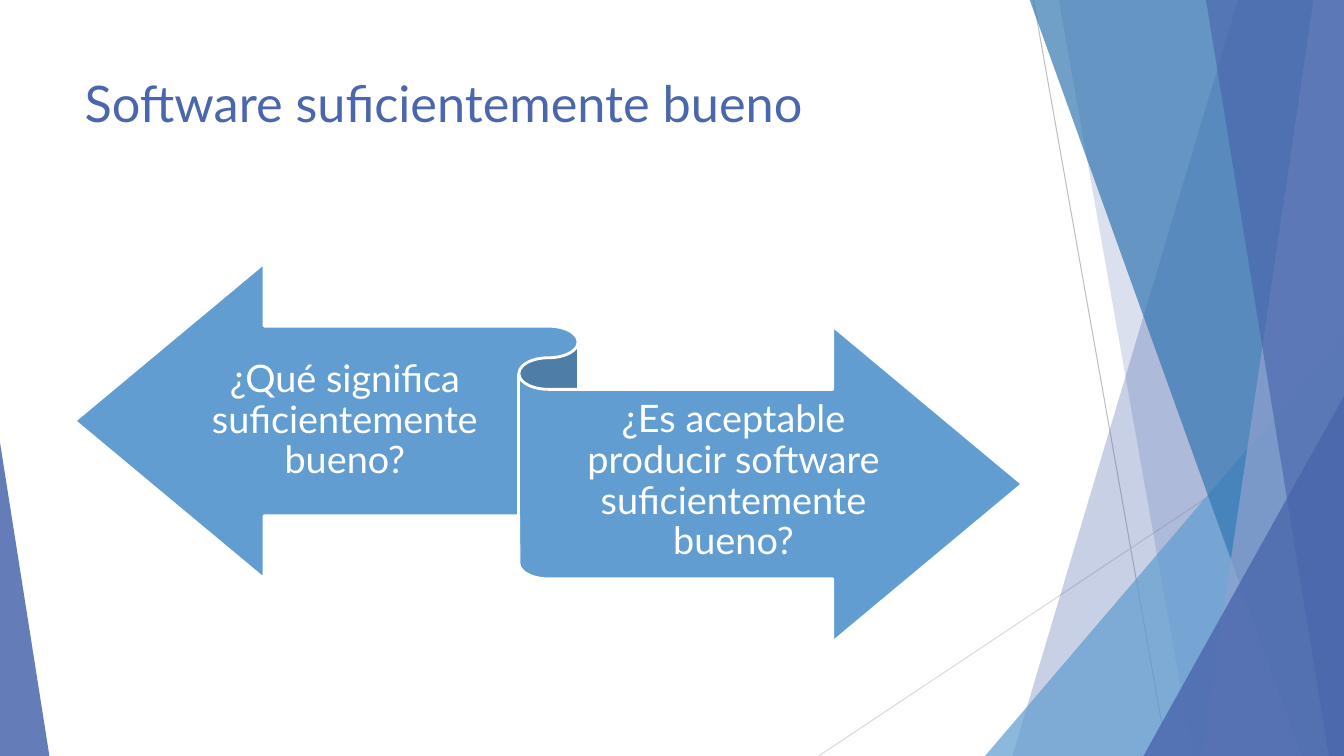
"""Build a slide that asks what good enough software means."""
from dataclasses import dataclass

from lxml.etree import SubElement
from pptx import Presentation
from pptx.dml.color import RGBColor
from pptx.enum.shapes import MSO_CONNECTOR, MSO_SHAPE
from pptx.enum.text import MSO_ANCHOR as Anchor, MSO_AUTO_SIZE as AutoSize, PP_ALIGN as Align
from pptx.oxml.ns import qn
from pptx.shapes.autoshape import Shape
from pptx.slide import Slide
from pptx.text.text import TextFrame
from pptx.util import Inches, Pt

WIDTH, HEIGHT = 13.33, 7.5
FONT = "Lato"
COLORS = {
    "indigo": "4A66AC",
    "sky": "629DD1",
    "ocean": "3477B2",
    "lavender": "90A2CF",
    "gray": "BFBFBF",
    "silver": "D9D9D9",
    "white": "FFFFFF",
}


@dataclass(frozen=True)
class Ray:
    start: tuple[float, float]
    end: tuple[float, float]
    color: str


@dataclass(frozen=True)
class Band:
    """Area from a slanted left edge to the right side of the page."""
    top_x: float
    bottom_x: float
    color: str
    opacity: int


@dataclass(frozen=True)
class Corner:
    """Right triangle standing on the bottom of the page."""
    left: float
    top: float
    width: float
    apex: float
    color: str
    opacity: int


@dataclass(frozen=True)
class Question:
    left: float
    top: float
    width: float
    text: str


RAYS = (
    Ray((10.25, 0), (11.58, HEIGHT), "gray"),
    Ray((WIDTH, 4.03), (8.12, HEIGHT), "silver"),
)
FACETS = (
    Band(12.28, 10.04, "indigo", 30),
    Band(10.5, 11.83, "indigo", 20),
    Corner(9.77, 3.33, 3.56, 1, "sky", 72),
    Band(10.21, 12.91, "ocean", 70),
    Band(13.03, 11.92, "lavender", 70),
    Band(11.96, 13.18, "indigo", 65),
    Corner(11.34, 3.93, 1.99, 1, "indigo", 80),
    Corner(0, 4.39, 0.49, 0, "indigo", 85),
)
QUESTIONS = (
    Question(1.87, 3.26, 3.1, "¿Qué significa suficientemente bueno?"),
    Question(5.44, 3.86, 3.67, "¿Es aceptable producir software suficientemente bueno?"),
)


def rgb(name: str) -> RGBColor:
    """Return a named colour."""
    return RGBColor.from_string(COLORS[name])


def draw_ray(page: Slide, ray: Ray) -> None:
    """Draw a thin line without a shadow."""
    ends = [Inches(value) for value in (*ray.start, *ray.end)]
    line = page.shapes.add_connector(MSO_CONNECTOR.STRAIGHT, *ends)
    line.line.color.rgb = rgb(ray.color)
    line.line.width = Pt(0.75)
    SubElement(line._element.spPr, qn("a:effectLst"))


def facet_shape(page: Slide, facet: Band | Corner) -> Shape:
    """Add the outline of a band or a corner."""
    if isinstance(facet, Band):
        points = [(facet.top_x, -0.01), (WIDTH, -0.01), (WIDTH, HEIGHT), (facet.bottom_x, HEIGHT)]
        first, *rest = [(Inches(x), Inches(y)) for x, y in points]
        builder = page.shapes.build_freeform(*first)
        builder.add_line_segments(rest, close=True)
        return builder.convert_to_shape()
    box = (facet.left, facet.top, facet.width, HEIGHT - facet.top)
    shape = page.shapes.add_shape(MSO_SHAPE.ISOSCELES_TRIANGLE, *map(Inches, box))
    shape.adjustments[0] = facet.apex
    return shape


def draw_facet(page: Slide, facet: Band | Corner) -> None:
    """Draw a translucent facet of the backdrop."""
    shape = facet_shape(page, facet)
    shape.shadow.inherit = False
    shape.fill.solid()
    shape.fill.fore_color.rgb = rgb(facet.color)
    shape.line.fill.background()
    tint = shape._element.spPr.find(qn("a:solidFill"))[0]
    SubElement(tint, qn("a:alpha"), val=str(facet.opacity * 1000))


def write(frame: TextFrame, text: str, size: float, color: str, align: Align) -> None:
    """Write one formatted paragraph."""
    frame.word_wrap = True
    frame.auto_size = AutoSize.NONE
    frame.text = text
    para = frame.paragraphs[0]
    para.alignment = align
    para.font.name = FONT
    para.font.size = Pt(size)
    para.font.color.rgb = rgb(color)


def draw_title(page: Slide) -> None:
    """Place the title at the top left."""
    title = page.shapes.title
    title.left, title.top, title.width, title.height = map(Inches, (0.74, 0.67, 9.4, 1.44))
    write(title.text_frame, "Software suficientemente bueno", 36, "indigo", Align.LEFT)
    title.text_frame.vertical_anchor = Anchor.TOP


def draw_ribbon(page: Slide) -> None:
    """Draw the folded double arrow."""
    box = map(Inches, (0.74, 2.61, 9.4, 3.76))
    ribbon = page.shapes.add_shape(MSO_SHAPE.LEFT_RIGHT_RIBBON, *box)
    ribbon.shadow.inherit = False
    ribbon.fill.solid()
    ribbon.fill.fore_color.rgb = rgb("sky")
    ribbon.line.color.rgb = rgb("white")
    ribbon.line.width = Pt(2)


def draw_question(page: Slide, question: Question) -> None:
    """Write a question on one half of the ribbon."""
    area = (question.left, question.top, question.width, 1.84)
    frame = page.shapes.add_textbox(*map(Inches, area)).text_frame
    write(frame, question.text, 27, "white", Align.CENTER)
    frame.vertical_anchor = Anchor.MIDDLE
    frame.margin_left = frame.margin_right = 0
    frame.margin_top, frame.margin_bottom = Inches(0.1), Inches(0.11)
    frame.paragraphs[0].line_spacing = 0.9


def main() -> None:
    """Build and save the deck."""
    deck = Presentation()
    deck.slide_width, deck.slide_height = Inches(WIDTH), Inches(HEIGHT)
    page = deck.slides.add_slide(deck.slide_layouts.get_by_name("Title Only"))
    for ray in RAYS:
        draw_ray(page, ray)
    for facet in FACETS:
        draw_facet(page, facet)
    draw_title(page)
    draw_ribbon(page)
    for question in QUESTIONS:
        draw_question(page, question)
    deck.save("out.pptx")


if __name__ == "__main__":
    main()
